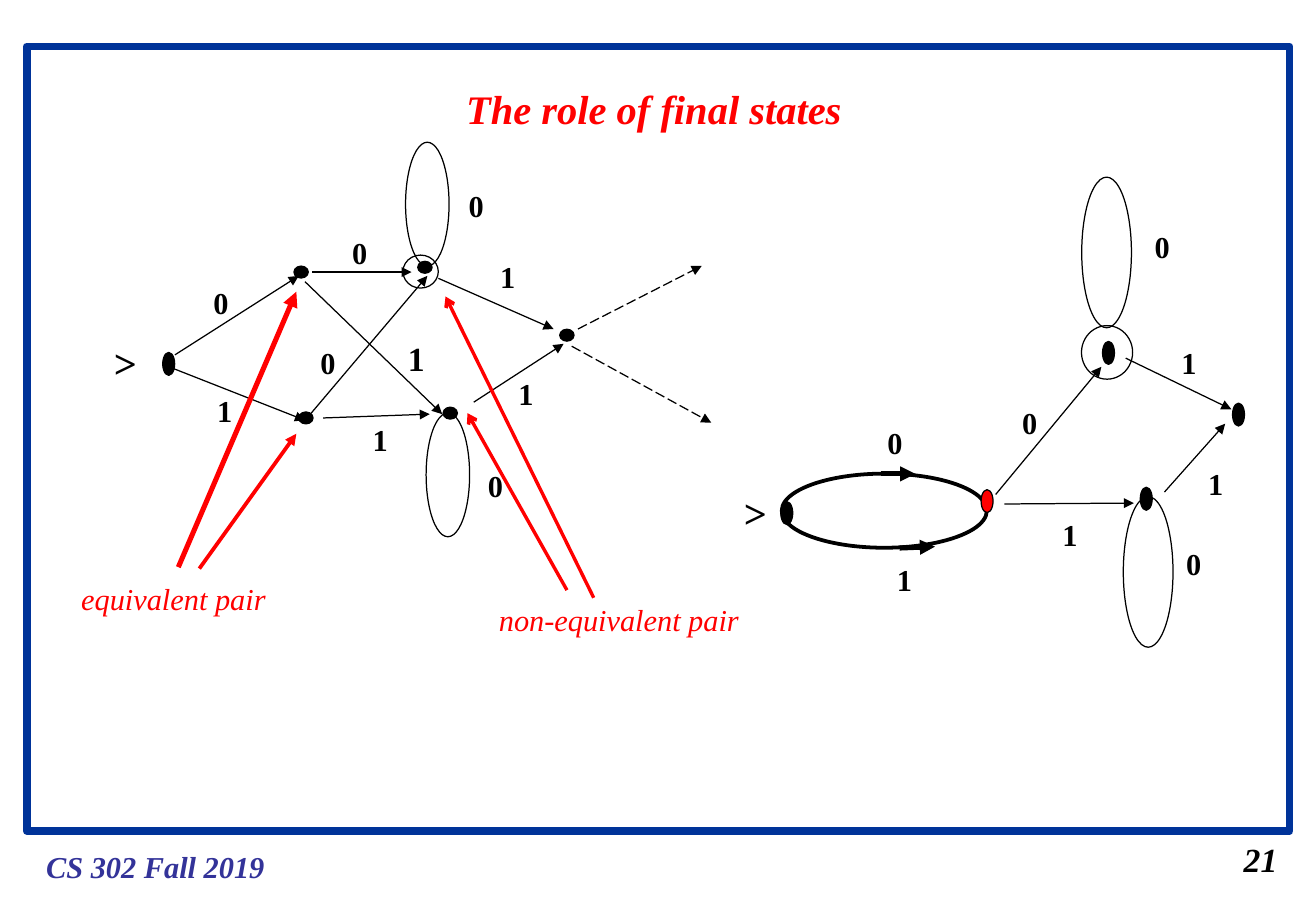
from dataclasses import dataclass

from lxml import etree
from pptx import Presentation
from pptx.dml.color import RGBColor
from pptx.enum.dml import MSO_LINE
from pptx.enum.shapes import MSO_CONNECTOR, MSO_SHAPE
from pptx.enum.text import MSO_ANCHOR, MSO_AUTO_SIZE, PP_ALIGN
from pptx.oxml.ns import qn
from pptx.util import Cm, Pt

STRAIGHT = MSO_CONNECTOR.STRAIGHT
OVAL = MSO_SHAPE.OVAL
RECTANGLE = MSO_SHAPE.RECTANGLE
LONG_DASH = MSO_LINE.LONG_DASH
CENTER = PP_ALIGN.CENTER
MIDDLE = MSO_ANCHOR.MIDDLE
FIT_SHAPE = MSO_AUTO_SIZE.SHAPE_TO_FIT_TEXT


@dataclass(frozen=True)
class Theme:
    font: str = "Times New Roman"
    ink: RGBColor = RGBColor(0, 0, 0)
    accent: RGBColor = RGBColor(0xFF, 0, 0)
    frame: RGBColor = RGBColor(0, 0x33, 0x99)
    footer: RGBColor = RGBColor(0x33, 0x33, 0x99)
    title_size: int = 24
    number_size: int = 20
    body_size: int = 18
    thin: float = 0.75
    frame_width: float = 4.5


THEME = Theme()
TALL_STATE = (0.25, 0.48)
FLAT_STATE = (0.3, 0.25)
SYMBOL_WIDTH = 0.81


def add_outline(slide, kind, box, color=THEME.ink, width=THEME.thin, fill=None):
    outline = slide.shapes.add_shape(kind, *(Cm(length) for length in box))
    outline.shadow.inherit = False
    if fill is None:
        outline.fill.background()
    else:
        outline.fill.solid()
        outline.fill.fore_color.rgb = fill
    outline.line.color.rgb = color
    outline.line.width = Pt(width)


def add_ellipse(slide, origin, center, size, width=THEME.thin, fill=None):
    left, top = (o + c - s / 2 for o, c, s in zip(origin, center, size))
    add_outline(slide, OVAL, (left, top, *size), width=width, fill=fill)


def add_arrow(slide, origin, start, end, color=THEME.ink, width=THEME.thin,
              dash=None, head="triangle"):
    x, y = origin
    arrow = slide.shapes.add_connector(
        STRAIGHT, Cm(x + start[0]), Cm(y + start[1]), Cm(x + end[0]), Cm(y + end[1]))
    arrow.line.color.rgb = color
    arrow.line.width = Pt(width)
    if dash is not None:
        arrow.line.dash_style = dash
    etree.SubElement(arrow.line._get_or_add_ln(), qn("a:tailEnd"), type=head)
    etree.SubElement(arrow._element.spPr, qn("a:effectLst"))


def add_label(slide, origin, center, text, width=SYMBOL_WIDTH, **formats):
    style = {"name": THEME.font, "size": THEME.body_size, "bold": True,
             "italic": False} | formats
    color = style.pop("color", THEME.ink)
    height = 0.25 + 0.042 * style["size"]
    style["size"] = Pt(style["size"])
    label = slide.shapes.add_textbox(
        Cm(origin[0] + center[0] - width / 2), Cm(origin[1] + center[1] - height / 2),
        Cm(width), Cm(height))
    frame = label.text_frame
    for name, value in {"word_wrap": False, "auto_size": FIT_SHAPE,
                        "vertical_anchor": MIDDLE}.items():
        setattr(frame, name, value)
    paragraph = frame.paragraphs[0]
    paragraph.alignment = CENTER
    run = paragraph.add_run()
    run.text = text
    for name, value in style.items():
        setattr(run.font, name, value)
    run.font.color.rgb = color


def draw_page(slide, box):
    left, top, width, height = box
    add_outline(slide, RECTANGLE, (left + 0.56, top + 0.97, width - 1.11, height - 2.64),
                THEME.frame, THEME.frame_width)
    origin = (left, top)
    add_label(slide, origin, (13.68, 2.26), "The role of final states", 8.36,
              size=THEME.title_size, italic=True, color=THEME.accent)
    add_label(slide, origin, (3.25, height - 0.94), "CS 302 Fall 2019", 5.08,
              italic=True, color=THEME.footer)
    add_label(slide, origin, (width - 1.16, height - 1.09), "21", 1.22,
              size=THEME.number_size, italic=True)


def draw_automaton(slide, origin, loops, edges, states, symbols, entry):
    for center, size, width in loops:
        add_ellipse(slide, origin, center, size, width)
    for start, end, formats in edges:
        add_arrow(slide, origin, start, end, **formats)
    for center, size, fill in states:
        add_ellipse(slide, origin, center, size, fill=fill)
    for text, center, size in symbols:
        add_label(slide, origin, center, text, size=size)
    add_label(slide, origin, entry, ">", size=THEME.title_size)


def draw_full_automaton(slide, origin):
    dashed = {"dash": LONG_DASH}
    loop_size = (0.91, 2.59)
    loops = [((6.94, 1.27), loop_size, THEME.thin),
             ((7.37, 6.93), loop_size, THEME.thin),
             ((6.8, 2.68), (0.74, 0.69), THEME.thin)]
    edges = [((10.09, 3.88), (12.68, 2.56), dashed),
             ((9.96, 4.24), (12.88, 5.84), dashed),
             ((1.66, 4.42), (4.25, 2.77), {}),
             ((1.61, 4.7), (4.38, 5.79), {}),
             ((4.38, 2.89), (7.25, 5.66), {}),
             ((4.45, 5.71), (6.94, 2.77), {}),
             ((4.53, 2.69), (6.61, 2.69), {}),
             ((4.76, 5.74), (6.99, 5.66), {}),
             ((7.17, 2.82), (9.58, 3.88), {}),
             ((7.91, 5.41), (9.79, 4.19), {})]
    flat_centers = [(4.3, 2.69), (4.4, 5.74), (6.89, 2.59), (9.86, 4.01), (7.42, 5.64)]
    states = [((1.53, 4.61), TALL_STATE, THEME.ink)]
    states += [(center, FLAT_STATE, THEME.ink) for center in flat_centers]
    centers = {"0": [(2.62, 3.32), (5.52, 2.28), (4.86, 4.57), (8.36, 7.16), (7.96, 1.29)],
               "1": [(2.7, 5.59), (5.95, 6.19), (8.62, 2.77), (9, 5.23)]}
    symbols = [(text, center, THEME.body_size)
               for text, places in centers.items() for center in places]
    symbols.append(("1", (6.69, 4.49), THEME.number_size))
    draw_automaton(slide, origin, loops, edges, states, symbols, (0.54, 4.57))


def draw_merged_automaton(slide, origin):
    bold = {"width": 3}
    loop_size = (1.04, 3.15)
    loops = [((8.15, 1.78), loop_size, THEME.thin),
             ((9.02, 8.46), loop_size, THEME.thin),
             ((8.16, 3.87), (1.07, 1.12), THEME.thin),
             ((3.5, 7.18), (4.29, 1.55), 2.25)]
    edges = [((3.42, 6.41), (4.15, 6.41), bold),
             ((3.82, 7.96), (4.56, 7.93), bold),
             ((5.83, 6.84), (8.04, 4.17), {}),
             ((6.01, 7.04), (8.72, 7.02), {}),
             ((8.55, 3.99), (10.76, 5.06), {}),
             ((9.36, 6.79), (10.63, 5.36), {})]
    black_centers = [(1.46, 7.23), (8.19, 3.88), (8.98, 6.93), (10.91, 5.17)]
    states = [(center, TALL_STATE, THEME.ink) for center in black_centers]
    states.append(((5.65, 6.98), TALL_STATE, THEME.accent))
    centers = {"0": [(3.72, 5.75), (6.54, 5.34), (9.31, 1.66), (9.97, 8.29)],
               "1": [(3.92, 8.62), (7.38, 7.68), (9.87, 4.07), (10.43, 6.61)]}
    symbols = [(text, center, THEME.body_size)
               for text, places in centers.items() for center in places]
    draw_automaton(slide, origin, loops, edges, states, symbols, (0.72, 7.22))


def draw_pair(slide, origin, caption, center, caption_width, pointers, head):
    for start, end, width in pointers:
        add_arrow(slide, origin, start, end, THEME.accent, width, head=head)
    add_label(slide, origin, center, caption, caption_width,
              bold=False, italic=True, color=THEME.accent)


def main():
    deck = Presentation()
    width, height = 27.53, 19.05
    deck.slide_width, deck.slide_height = Cm(width), Cm(height)
    slide = deck.slides.add_slide(deck.slide_layouts[6])
    draw_page(slide, (0, 0, width, height))
    draw_full_automaton(slide, (2, 3))
    draw_merged_automaton(slide, (15, 3.5))
    draw_pair(slide, (1.4, 6), "equivalent pair", (2.23, 6.52), 4.37,
              [((2.33, 5.86), (4.8, 0.1), 3), ((2.77, 5.89), (4.8, 3.07), 2.25)],
              "triangle")
    draw_pair(slide, (9, 6), "non-equivalent pair", (3.95, 6.95), 5.54,
              [((3.42, 6.5), (0.32, 0.2), 2), ((2.86, 6.34), (0.78, 2.64), 2)],
              "arrow")
    deck.save("out.pptx")


if __name__ == "__main__":
    main()
